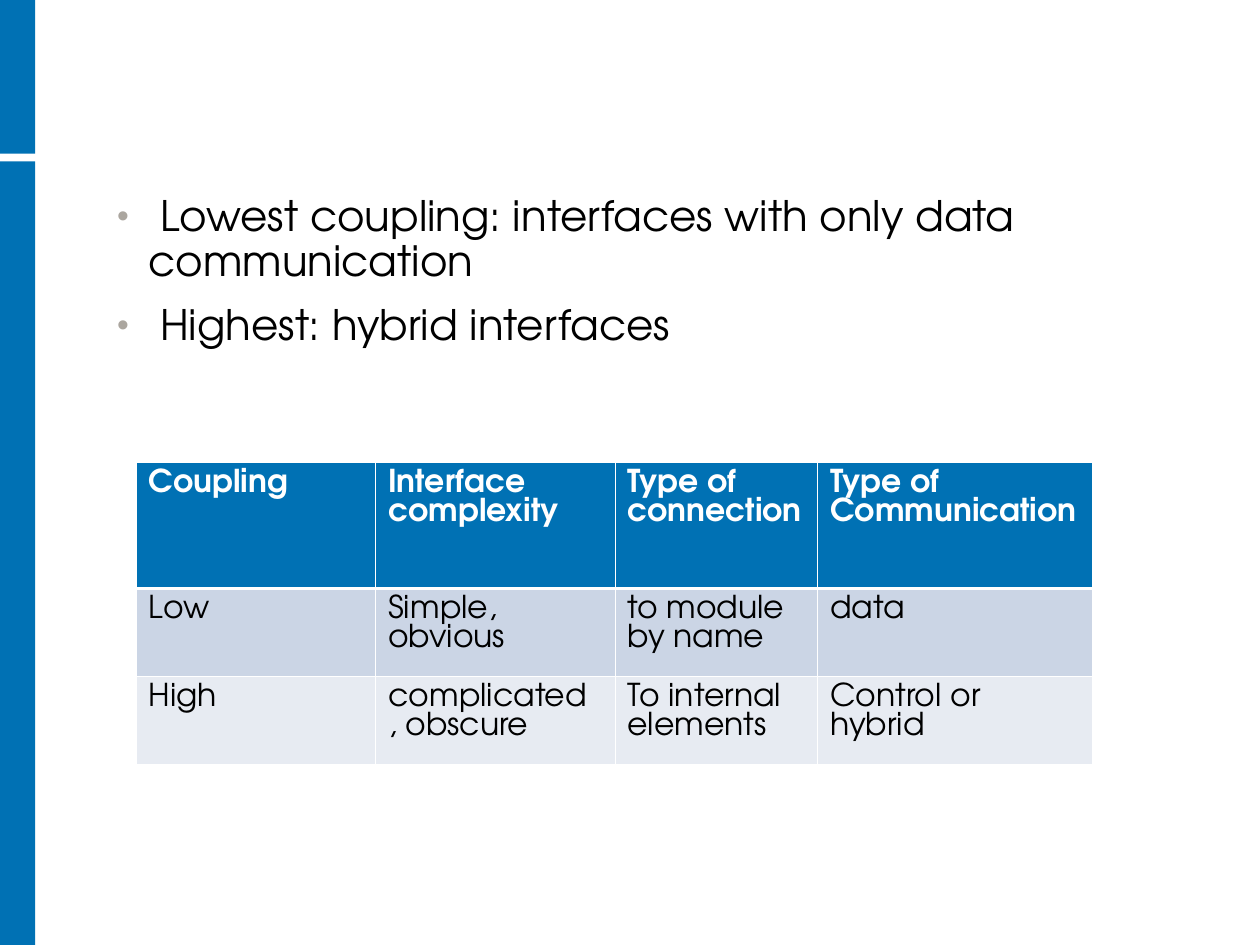
from pptx import Presentation
from pptx.dml.color import RGBColor
from pptx.enum.shapes import MSO_SHAPE as Preset
from pptx.enum.text import MSO_ANCHOR as Anchor, MSO_AUTO_SIZE as AutoSize
from pptx.oxml import parse_xml
from pptx.oxml.ns import nsdecls
from pptx.util import Inches, Pt

FONT = "TeX Gyre Adventor"
BLUE, WHITE, BLACK = "0071B4", "FFFFFF", "000000"
BULLET_COLOR = "ABA69F"
BULLETS = [
    " Lowest coupling: interfaces with only data communication",
    " Highest: hybrid interfaces",
]
COLUMN_WIDTHS = [1.9, 1.9, 1.61, 2.18]
ROW_HEIGHTS = [1, 0.7, 0.7]
ROW_FILLS = [BLUE, "CBD5E5", "E7EBF2"]
ROWS = [
    ["Coupling", "Interface complexity", "Type of connection", "Type of Communication"],
    ["Low", "Simple, obvious", "to module by name", "data"],
    ["High", "complicated , obscure", "To internal elements", "Control or hybrid"],
]
THIN, THICK = 0.45, 1.47


def paint(target, color):
    """Give a fill or a font a solid colour."""
    if hasattr(target, "solid"):
        target.solid()
        target.fore_color.rgb = RGBColor.from_string(color)
    else:
        target.color.rgb = RGBColor.from_string(color)


def add_span(para, text, size, color, bold=False):
    """Add one formatted run to a paragraph."""
    span = para.add_run()
    span.text = text
    span.font.name, span.font.size, span.font.bold = FONT, Pt(size), bold
    paint(span.font, color)


def add_bar(page, top, height):
    """Draw one part of the blue bar on the left edge."""
    bar = page.shapes.add_shape(Preset.RECTANGLE, 0, Inches(top), Inches(0.28), Inches(height))
    bar.shadow.inherit = False
    paint(bar.fill, BLUE)
    bar.line.fill.background()


def set_bullet(para):
    """Give a paragraph a hanging grey bullet."""
    props = para._p.get_or_add_pPr()
    props.set("marL", str(Inches(0.25)))
    props.set("indent", str(-Inches(0.25)))
    for xml in (
        f'<a:buClr {nsdecls("a")}><a:srgbClr val="{BULLET_COLOR}"/></a:buClr>',
        f'<a:buSzPct {nsdecls("a")} val="80000"/>',
        f'<a:buFont {nsdecls("a")} typeface="Arial"/>',
        f'<a:buChar {nsdecls("a")} char="•"/>',
    ):
        props.append(parse_xml(xml))


def fill_body(box, lines):
    """Place the body placeholder and write the bullet list."""
    box.left, box.top, box.width, box.height = map(Inches, (0.83, 1.5, 8.5, 2.67))
    frame = box.text_frame
    frame.word_wrap = True
    frame.auto_size = AutoSize.NONE
    frame.vertical_anchor = Anchor.TOP
    for index, line in enumerate(lines):
        para = frame.add_paragraph() if index else frame.paragraphs[0]
        para.line_spacing = 0.9
        para.space_before, para.space_after = Pt(7.5), Pt(3)
        set_bullet(para)
        add_span(para, line, 24, BLACK)


def set_borders(cell, top, bottom):
    """Draw white lines on the four sides of a cell."""
    props = cell._tc.get_or_add_tcPr()
    for side, width in zip("LRTB", (THIN, THIN, top, bottom)):
        props.append(parse_xml(
            f'<a:ln{side} {nsdecls("a")} w="{Pt(width)}"><a:solidFill>'
            f'<a:srgbClr val="{WHITE}"/></a:solidFill></a:ln{side}>'
        ))


def add_coupling_table(page):
    """Add the table that compares low and high coupling."""
    table = page.shapes.add_table(
        len(ROWS), len(COLUMN_WIDTHS), Inches(1.08), Inches(3.67),
        Inches(sum(COLUMN_WIDTHS)), Inches(sum(ROW_HEIGHTS)),
    ).table
    for column, width in zip(table.columns, COLUMN_WIDTHS):
        column.width = Inches(width)
    for index, (row, height) in enumerate(zip(table.rows, ROW_HEIGHTS)):
        row.height = Inches(height)
        header = index == 0
        for cell, text in zip(row.cells, ROWS[index]):
            set_borders(cell, THICK if index == 1 else THIN, THICK if header else THIN)
            paint(cell.fill, ROW_FILLS[index])
            para = cell.text_frame.paragraphs[0]
            add_span(para, text, 18, WHITE if header else BLACK, header)


def main():
    """Build the slide and save it."""
    deck = Presentation()
    deck.slide_width, deck.slide_height = Inches(10), Inches(7.5)
    page = deck.slides.add_slide(deck.slide_layouts[1])
    title = page.shapes.title
    title.element.getparent().remove(title.element)
    add_bar(page, 1.28, 6.22)
    add_bar(page, 0, 1.22)
    fill_body(page.placeholders[1], BULLETS)
    add_coupling_table(page)
    deck.save("out.pptx")


if __name__ == "__main__":
    main()
